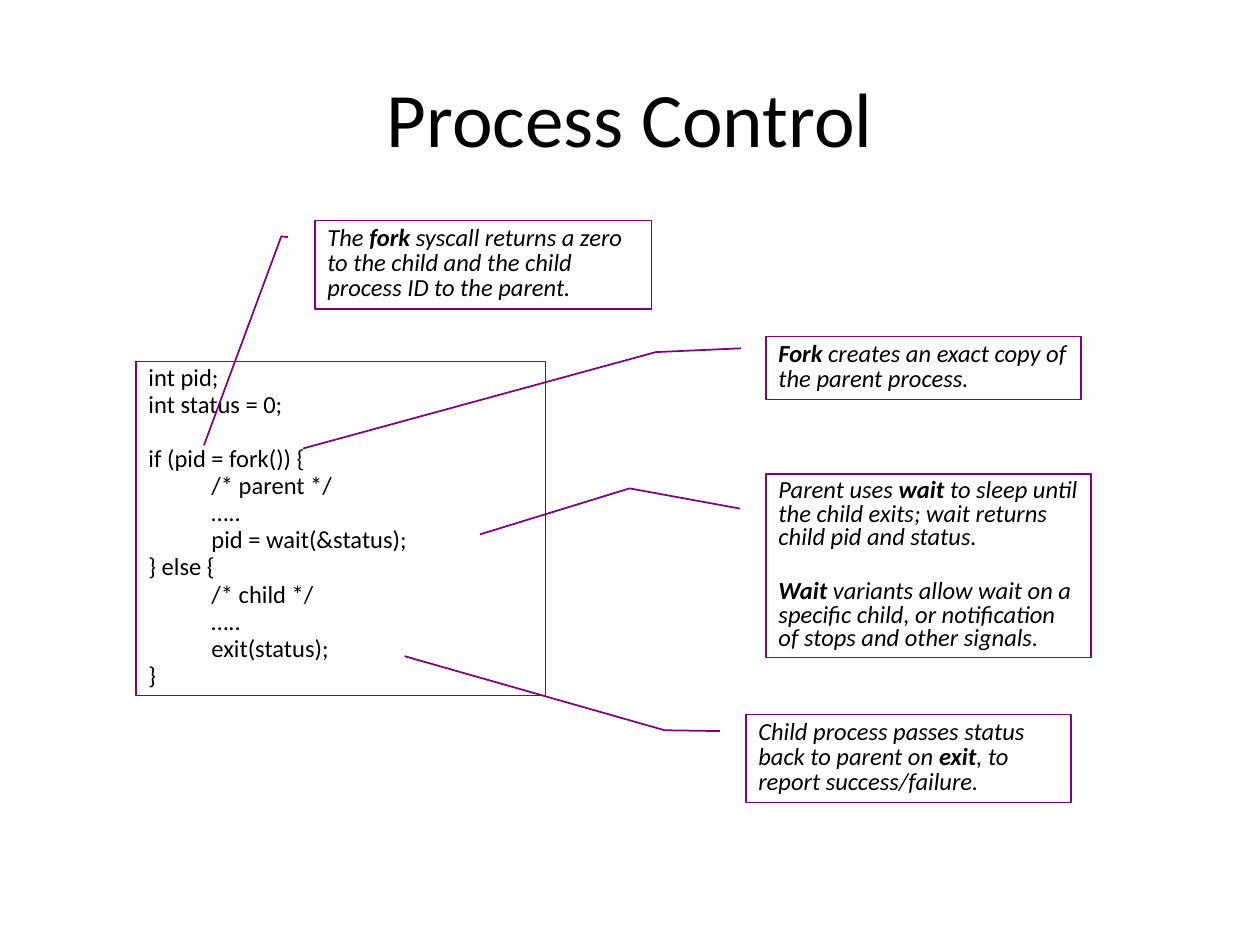
from dataclasses import dataclass

from lxml import etree
from pptx import Presentation
from pptx.dml.color import RGBColor
from pptx.enum.shapes import MSO_SHAPE
from pptx.enum.text import MSO_ANCHOR, MSO_AUTO_SIZE, PP_ALIGN
from pptx.oxml.ns import qn
from pptx.slide import Slide
from pptx.util import Inches, Pt

RECTANGLE = MSO_SHAPE.RECTANGLE
CALLOUT = MSO_SHAPE.LINE_CALLOUT_2
LEFT, CENTER = PP_ALIGN.LEFT, PP_ALIGN.CENTER
TOP, MIDDLE = MSO_ANCHOR.TOP, MSO_ANCHOR.MIDDLE
GROW = MSO_AUTO_SIZE.SHAPE_TO_FIT_TEXT

BLACK = RGBColor(0x00, 0x00, 0x00)
WHITE = RGBColor(0xFF, 0xFF, 0xFF)
PURPLE = RGBColor(0x80, 0x00, 0x80)

POINTER_START = (0.19, -0.08)
TAB_WIDTH = Inches(0.5)
LINE_GAP = 2
BLANK_LINE_GAP = 17.5

CODE_BLOCKS = [
    ["int pid;", "int status = 0;"],
    [
        "if (pid = fork()) {",
        "\t/* parent */",
        "\t…..",
        "\tpid = wait(&status);",
        "} else {",
        "\t/* child */",
        "\t…..",
        "\texit(status);",
        "}",
    ],
]

CALLOUTS = [
    ((6.08, 3.76, 2.58, 1.46), (0.08, -0.42, 0.33, -0.88), 0.8, [
        [("Parent uses ", False), ("wait", True),
         (" to sleep until the child exits; wait returns child pid and status.", False)],
        [("Wait", True),
         (" variants allow wait on a specific child, or notification of stops "
          "and other signals.", False)],
    ]),
    ((5.92, 5.67, 2.58, 0.7), (0.18, -0.25, -0.66, -1.05), 0.85, [
        [("Child process passes status back to parent on ", False), ("exit", True),
         (", to report success/failure.", False)],
    ]),
    ((2.5, 1.75, 2.67, 0.7), (0.18, -0.1, 2.55, -0.33), 0.85, [
        [("The ", False), ("fork", True),
         (" syscall returns a zero to the child and the child process ID to the parent.",
          False)],
    ]),
    ((6.08, 2.67, 2.5, 0.5), (0.25, -0.35, 1.78, -1.47), 0.85, [
        [("Fork", True), (" creates an exact copy of the parent process.", False)],
    ]),
]


@dataclass
class SlideBuilder:
    """Draws the slide's elements in one shared style."""

    page: Slide
    font: str = "Calibri"
    title_size: int = 44
    body_size: int = 14

    def add_span(self, para, text, size, bold=False, italic=False):
        span = para.add_run()
        span.text = text
        span.font.name = self.font
        span.font.size = Pt(size)
        span.font.bold = bold
        span.font.italic = italic
        span.font.color.rgb = BLACK

    def title(self, text, bounds):
        box = self.page.shapes.title
        box.left, box.top, box.width, box.height = map(Inches, bounds)
        box.text_frame.vertical_anchor = MIDDLE
        para = box.text_frame.paragraphs[0]
        para.alignment = CENTER
        self.add_span(para, text, self.title_size)

    def panel(self, kind, bounds):
        box = self.page.shapes.add_shape(kind, *map(Inches, bounds))
        box.shadow.inherit = False
        box.fill.solid()
        box.fill.fore_color.rgb = WHITE
        box.line.color.rgb = PURPLE
        box.line.width = Pt(1)
        frame = box.text_frame
        frame.word_wrap = True
        frame.auto_size = GROW
        frame.vertical_anchor = TOP
        return box

    def paragraph(self, frame, first, spacing, gap):
        para = frame.paragraphs[0] if first else frame.add_paragraph()
        para.alignment = LEFT
        para.line_spacing = spacing
        para.space_after = Pt(gap)
        return para

    def code(self, blocks, bounds):
        frame = self.panel(RECTANGLE, bounds).text_frame
        for block_index, lines in enumerate(blocks):
            for index, line in enumerate(lines):
                ends_block = index == len(lines) - 1 and block_index < len(blocks) - 1
                gap = BLANK_LINE_GAP if ends_block else LINE_GAP
                para = self.paragraph(frame, block_index == index == 0, 0.8, gap)
                tabs = etree.SubElement(para._p.get_or_add_pPr(), qn("a:tabLst"))
                etree.SubElement(tabs, qn("a:tab"), pos=str(TAB_WIDTH), algn="l")
                self.add_span(para, line, self.body_size)

    def callout(self, bounds, bends, spacing, paragraphs):
        box = self.panel(CALLOUT, bounds)
        for index, value in enumerate(POINTER_START + bends):
            box.adjustments[index] = value
        for index, spans in enumerate(paragraphs):
            gap = BLANK_LINE_GAP if index < len(paragraphs) - 1 else 0
            para = self.paragraph(box.text_frame, index == 0, spacing, gap)
            for text, bold in spans:
                self.add_span(para, text, self.body_size, bold, italic=True)


def main():
    deck = Presentation()
    deck.slide_width, deck.slide_height = Inches(10), Inches(7.5)
    title_only = deck.slide_layouts.get_by_name("Title Only")
    builder = SlideBuilder(deck.slides.add_slide(title_only))
    builder.title("Process Control", (0.5, 0.3, 9, 1.25))
    builder.code(CODE_BLOCKS, (1.08, 2.87, 3.25, 2.65))
    for callout in CALLOUTS:
        builder.callout(*callout)
    deck.save("out.pptx")


if __name__ == "__main__":
    main()
